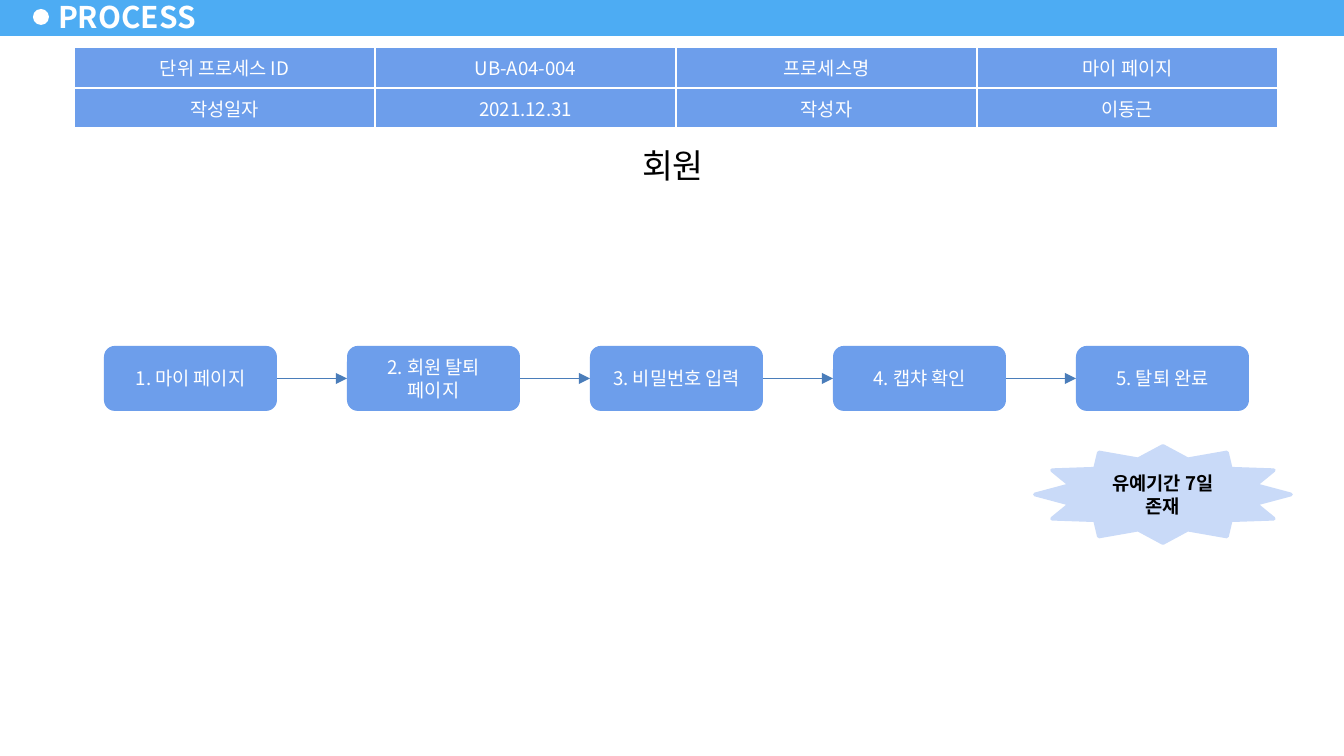
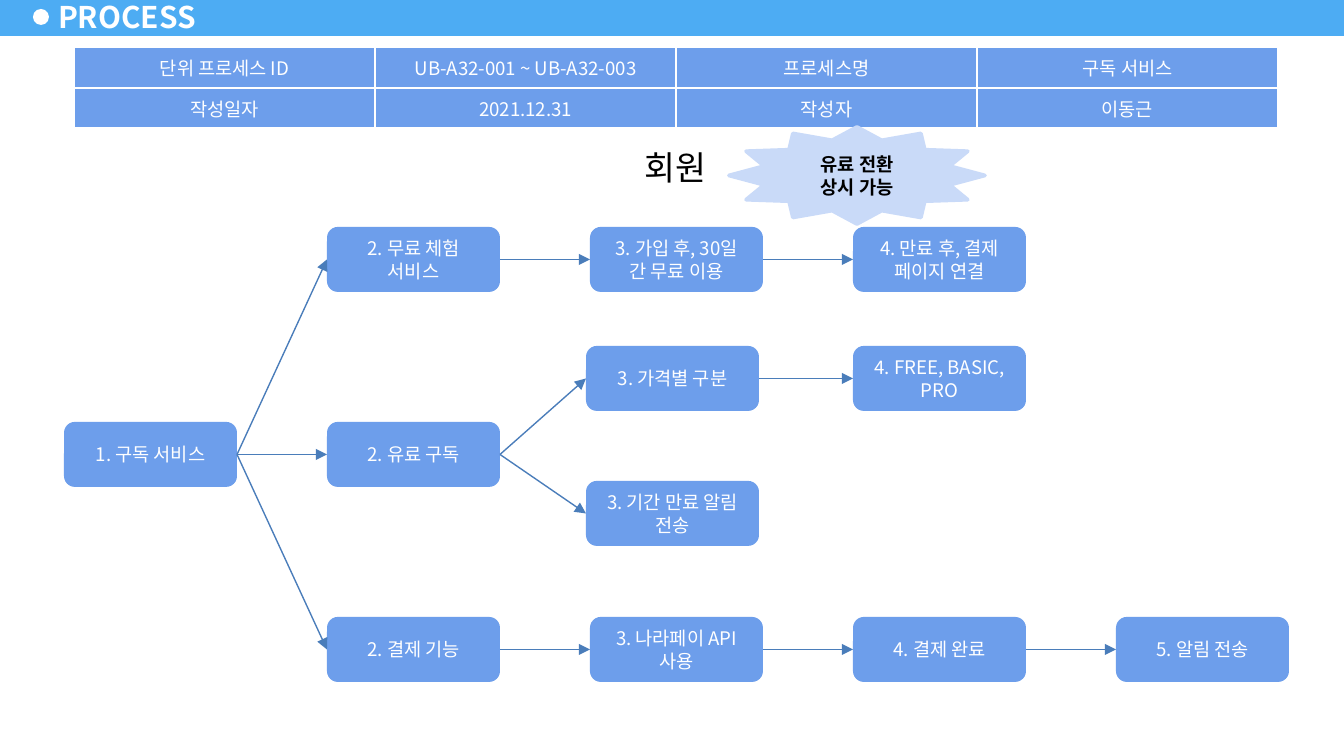
from lxml.etree import SubElement
from pptx import Presentation
from pptx.dml.color import RGBColor
from pptx.enum.shapes import MSO_CONNECTOR, MSO_SHAPE
from pptx.enum.text import MSO_ANCHOR, PP_ALIGN
from pptx.oxml.ns import qn
from pptx.util import Pt

SCALE = 914400 / 134.4
FONT = "Noto Sans CJK KR"
WHITE = RGBColor(0xFF, 0xFF, 0xFF)
BLACK = RGBColor(0, 0, 0)
SKY = RGBColor(0x4D, 0xAC, 0xF3)
BLUE = RGBColor(0x6D, 0x9E, 0xEB)
PALE = RGBColor(0xC9, 0xDA, 0xF8)
STEEL = RGBColor(0x4A, 0x7D, 0xBA)

BOX_W, BOX_H = 173, 65
STAR_W, STAR_H = 256, 97
LEFT, RIGHT = 1, 3


def px(*vals):
    return [round(v * SCALE) for v in vals]


def write(frame, text, size=10, color=WHITE, bold=False,
          align=PP_ALIGN.CENTER, anchor=MSO_ANCHOR.MIDDLE):
    frame.word_wrap = True
    frame.vertical_anchor = anchor
    para = frame.paragraphs[0]
    para.alignment = align
    run = para.add_run()
    run.text = text
    font = run.font
    font.size, font.bold, font.name = Pt(size), bold, FONT
    font.color.rgb = color
    SubElement(run._r.get_or_add_rPr(), qn("a:ea"), typeface=FONT)


def draw(slide, kind, area, fill):
    shape = slide.shapes.add_shape(kind, *px(*area))
    shape.shadow.inherit = False
    shape.fill.solid()
    shape.fill.fore_color.rgb = fill
    shape.line.fill.background()
    return shape


def banner(slide):
    draw(slide, MSO_SHAPE.RECTANGLE, (0, -2, 1344, 38), SKY)
    draw(slide, MSO_SHAPE.OVAL, (33, 9, 16, 16), WHITE)
    title = slide.shapes.add_textbox(*px(45, -5, 180, 43))
    write(title.text_frame, "PROCESS", size=16, bold=True,
          align=PP_ALIGN.LEFT)


def border(cell):
    props = cell._tc.get_or_add_tcPr()
    for pos, side in enumerate(("lnL", "lnR", "lnT", "lnB")):
        line = props.makeelement(qn("a:" + side), {"w": str(Pt(1))})
        fill = SubElement(line, qn("a:solidFill"))
        SubElement(fill, qn("a:srgbClr"), val=str(WHITE))
        props.insert(pos, line)


def header(slide, code, name):
    rows = (("단위 프로세스 ID", code, "프로세스명", name),
            ("작성일자", "2021.12.31", "작성자", "이동근"))
    table = slide.shapes.add_table(2, 4, *px(74, 47, 1204, 81)).table
    for col in table.columns:
        col.width, = px(301)
    for row, height, texts in zip(table.rows, px(41, 40), rows):
        row.height = height
        for cell, text in zip(row.cells, texts):
            cell.fill.solid()
            cell.fill.fore_color.rgb = BLUE
            border(cell)
            cell.vertical_anchor = MSO_ANCHOR.MIDDLE
            write(cell.text_frame, text)


def heading(slide, left, top, width):
    shape = draw(slide, MSO_SHAPE.RECTANGLE, (left, top, width, 55), WHITE)
    write(shape.text_frame, "회원", size=18, color=BLACK, anchor=MSO_ANCHOR.TOP)


def step(slide, left, top, text):
    shape = draw(slide, MSO_SHAPE.ROUNDED_RECTANGLE,
                 (left, top, BOX_W, BOX_H), BLUE)
    write(shape.text_frame, text)
    return shape


def star(slide, left, top, text):
    shape = draw(slide, MSO_SHAPE.STAR_12_POINT,
                 (left, top, STAR_W, STAR_H), PALE)
    shape.line.color.rgb = PALE
    shape.line.width = Pt(2)
    SubElement(shape.line._get_or_add_ln(), qn("a:round"))
    write(shape.text_frame, text, color=BLACK, bold=True)


def arrow(slide, start, end):
    link = slide.shapes.add_connector(MSO_CONNECTOR.STRAIGHT, 0, 0, 0, 0)
    link.begin_connect(start, RIGHT)
    link.end_connect(end, LEFT)
    link.line.color.rgb = STEEL
    link.line.width = Pt(0.75)
    SubElement(link.line._get_or_add_ln(), qn("a:tailEnd"), type="triangle")
    SubElement(link._element.spPr, qn("a:effectLst"))


def chain(slide, boxes):
    for start, end in zip(boxes, boxes[1:]):
        arrow(slide, start, end)


def start_page(deck, code, name, title):
    slide = deck.slides.add_slide(deck.slide_layouts[6])
    banner(slide)
    heading(slide, *title)
    header(slide, code, name)
    return slide


def leave_page(deck):
    slide = start_page(deck, "UB-A04-004", "마이 페이지", (534, 138, 278))
    texts = ("1. 마이 페이지", "2. 회원 탈퇴 페이지", "3. 비밀번호 입력",
             "4. 캡챠 확인", "5. 탈퇴 완료")
    chain(slide, [step(slide, 104 + 243 * i, 346, text)
                  for i, text in enumerate(texts)])
    star(slide, 1035, 446, "유예기간 7일 존재")


def plan_page(deck):
    slide = start_page(deck, "UB-A32-001 ~ UB-A32-003", "구독 서비스",
                       (435, 140, 481))
    cols = [64 + 263 * i for i in range(5)]
    fork = 586
    root = step(slide, cols[0], 422, "1. 구독 서비스")
    paid = step(slide, cols[1], 422, "2. 유료 구독")
    lanes = (
        (root, 227, ((cols[1], "2. 무료 체험 서비스"),
                     (cols[2], "3. 가입 후, 30일 간 무료 이용"),
                     (cols[3], "4. 만료 후, 결제 페이지 연결"))),
        (paid, 346, ((fork, "3. 가격별 구분"),
                     (cols[3], "4. FREE, BASIC, PRO"))),
        (paid, 481, ((fork, "3. 기간 만료 알림 전송"),)),
        (root, 617, ((cols[1], "2. 결제 기능"),
                     (cols[2], "3. 나라페이 API 사용"),
                     (cols[3], "4. 결제 완료"),
                     (cols[4], "5. 알림 전송"))),
    )
    arrow(slide, root, paid)
    for base, top, items in lanes:
        chain(slide, [base] + [step(slide, left, top, text)
                               for left, text in items])
    star(slide, 729, 127, "유료 전환 상시 가능")


def main():
    deck = Presentation()
    deck.slide_width, deck.slide_height = px(1344, 756)
    leave_page(deck)
    plan_page(deck)
    deck.save("out.pptx")


if __name__ == "__main__":
    main()
